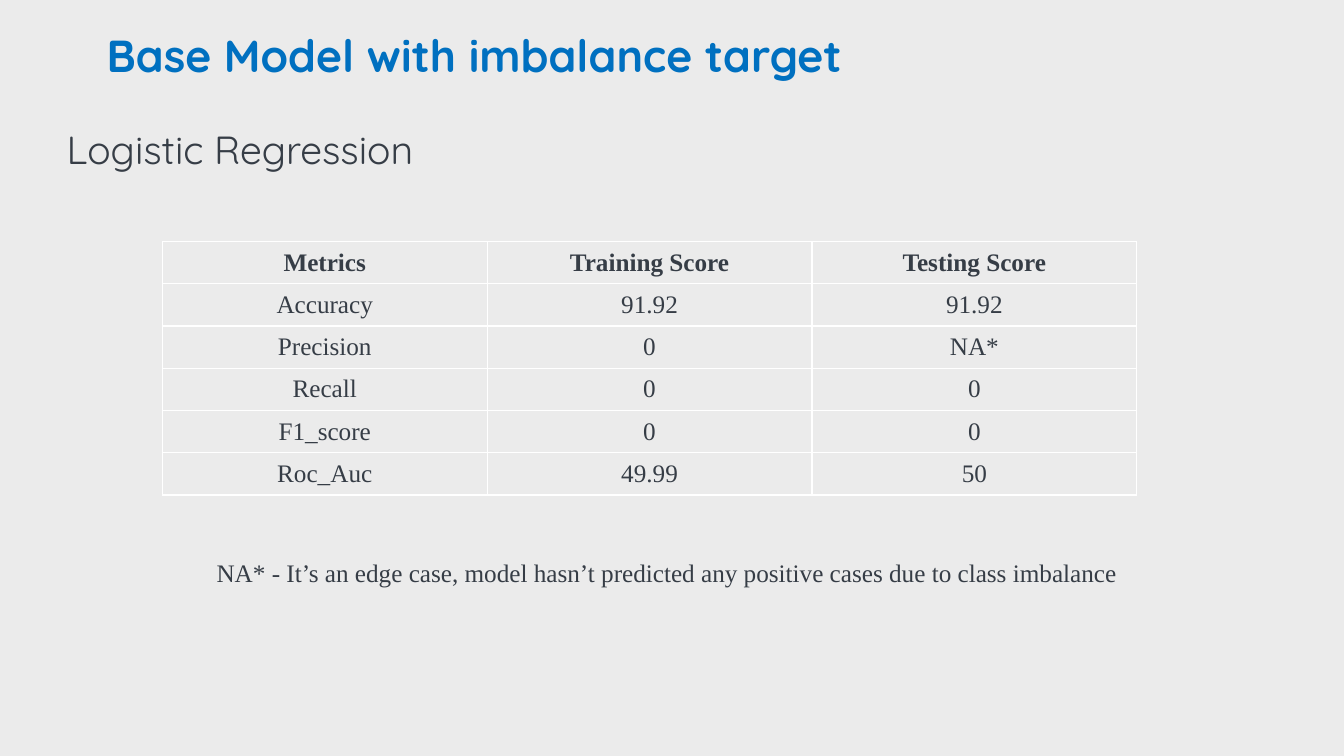
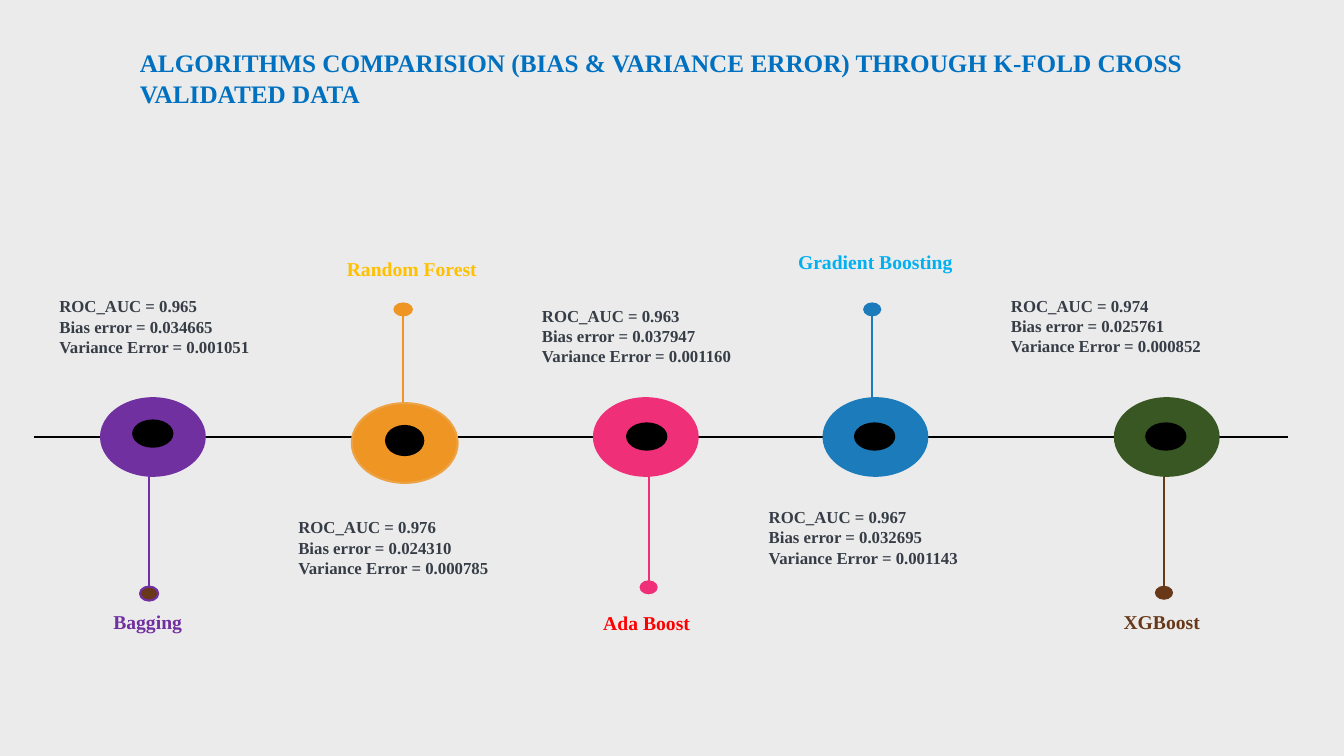
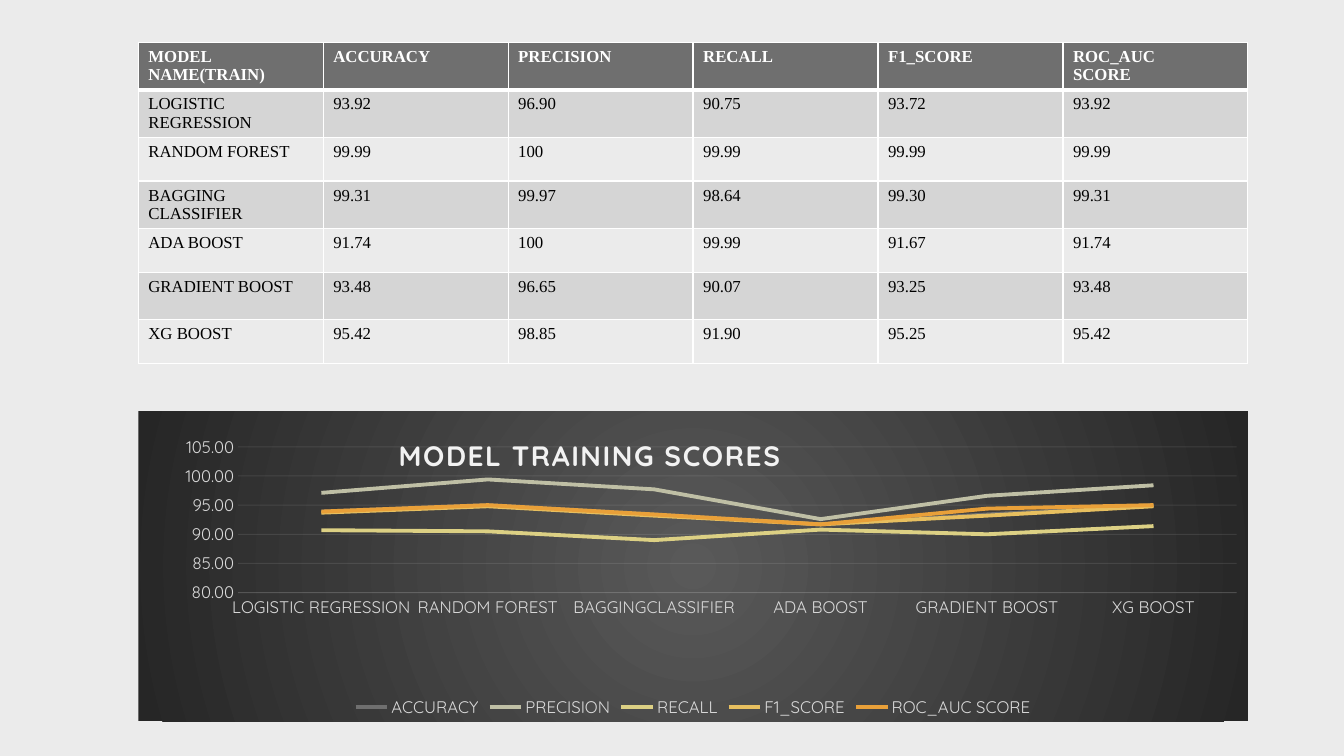
from dataclasses import dataclass

from lxml.etree import SubElement
from pptx import Presentation
from pptx.chart.data import CategoryChartData
from pptx.dml.color import RGBColor
from pptx.enum.chart import XL_CHART_TYPE, XL_LEGEND_POSITION, XL_TICK_MARK
from pptx.enum.shapes import MSO_CONNECTOR, MSO_SHAPE
from pptx.enum.text import MSO_ANCHOR, PP_ALIGN
from pptx.oxml import parse_xml
from pptx.oxml.ns import nsdecls, qn
from pptx.util import Pt


@dataclass(frozen=True)
class Theme:
    serif: str = "Times New Roman"
    sans: str = "Quicksand"
    page: str = "EBEBEB"
    ink: str = "363D46"
    title: str = "0070C0"
    white: str = "FFFFFF"
    black: str = "000000"
    header: str = "6F6F6F"
    band: str = "D5D5D5"
    faint: str = "F2F2F2"
    axis: str = "D9D9D9"
    title_size: int = 32
    subtitle_size: int = 28
    chart_title_size: int = 20
    body_size: int = 18
    label_size: int = 14
    small_size: int = 12


theme = Theme()


def write(frame, lines, size, colour=theme.ink, face=theme.serif, bold=False, align=PP_ALIGN.LEFT):
    frame.word_wrap = True
    for index, line in enumerate(lines):
        para = frame.add_paragraph() if index else frame.paragraphs[0]
        para.alignment = align
        span = para.add_run()
        span.text = line
        span.font.name = face
        span.font.size = Pt(size)
        span.font.bold = bold
        span.font.color.rgb = RGBColor.from_string(colour)


def add_grid(page, rows, left, top, widths, heights, size, fills, header_colour,
             header_rule, text_colour, align, anchor, side_inset):
    """Add a white-ruled table; fills gives the header, odd and even row colours."""
    grid = page.shapes.add_table(len(rows), len(widths), Pt(left), Pt(top),
                                 Pt(sum(widths)), Pt(sum(heights))).table
    grid.horz_banding = False
    for column, width in zip(grid.columns, widths):
        column.width = Pt(width)
    for r, texts in enumerate(rows):
        grid.rows[r].height = Pt(heights[r])
        fill = fills[0] if r == 0 else fills[2 - r % 2]
        rules = {"L": 1, "R": 1, "T": header_rule if r == 1 else 1,
                 "B": header_rule if r == 0 else 1}
        for c, text in enumerate(texts):
            cell = grid.cell(r, c)
            cell.margin_left = cell.margin_right = Pt(side_inset)
            cell.vertical_anchor = anchor
            if fill:
                cell.fill.solid()
                cell.fill.fore_color.rgb = RGBColor.from_string(fill)
            else:
                cell.fill.background()
            write(cell.text_frame, text.split("\n"), size,
                  header_colour if r == 0 else text_colour, bold=r == 0, align=align)
            properties = cell._tc.get_or_add_tcPr()
            for position, (side, weight) in enumerate(rules.items()):
                properties.insert(position, parse_xml(
                    f'<a:ln{side} {nsdecls("a")} w="{Pt(weight)}"><a:solidFill>'
                    f'<a:srgbClr val="{theme.white}"/></a:solidFill></a:ln{side}>'))


deck = Presentation()
deck.slide_width, deck.slide_height = Pt(960), Pt(540)
backdrop = deck.slide_master.background.fill
backdrop.solid()
backdrop.fore_color.rgb = RGBColor.from_string(theme.page)
blank = deck.slide_layouts[6]

# Base model
page = deck.slides.add_slide(blank)
box = page.shapes.add_textbox(Pt(69), Pt(16.5), Pt(627), Pt(46))
write(box.text_frame, ["Base Model with imbalance target"], theme.title_size,
      theme.title, theme.sans, bold=True)
box = page.shapes.add_textbox(Pt(40.5), Pt(86), Pt(325), Pt(41))
write(box.text_frame, ["Logistic Regression"], theme.subtitle_size, face=theme.sans)
box = page.shapes.add_textbox(Pt(147.6), Pt(394.6), Pt(707), Pt(29))
write(box.text_frame, ["NA* - It’s an edge case, model hasn’t predicted any positive cases "
                       "due to class imbalance"], theme.body_size)
base_scores = [
    ("Metrics", "Training Score", "Testing Score"),
    ("Accuracy", "91.92", "91.92"),
    ("Precision", "0", "NA*"),
    ("Recall", "0", "0"),
    ("F1_score", "0", "0"),
    ("Roc_Auc", "49.99", "50"),
]
add_grid(page, base_scores, 116, 172.5, [232] * 3, [30.2] * 6, theme.body_size,
         (None, None, None), theme.ink, 1, theme.ink, PP_ALIGN.CENTER, MSO_ANCHOR.MIDDLE, 9.6)


# Algorithm comparison
@dataclass
class Model:
    name: str
    name_colour: str
    name_at: tuple
    scores: tuple
    scores_at: tuple
    disc_colour: str
    disc_at: tuple
    eye: tuple
    stem_colour: str
    dot_colour: str
    dot_centre: tuple
    dot_width: float = 13
    disc_line: str = None
    dot_line: str = None


models = [
    Model("Bagging", "7030A0", (35.3, 432), ("0.965", "0.034665", "0.001051"), (35.3, 208),
          "7030A0", (71.4, 283.7), (94.4, 299.6, 29.5, 20.2),
          "7030A0", "683819", (106.5, 424), dot_line="7030A0"),
    Model("Random Forest", "FFC000", (224, 180), ("0.976", "0.024310", "0.000785"), (206, 365.8),
          "EE9524", (251.3, 288), (275, 303.5, 28.1, 22.3),
          "EE9524", "EE9524", (288, 221), dot_width=14, disc_line="EDA244"),
    Model("Ada Boost", "FF0000", (391.7, 432.7), ("0.963", "0.037947", "0.001160"), (380, 214.8),
          "EF3078", (423.5, 283.7), (447.2, 301.7, 29.5, 20.2),
          "EF3078", "EF3078", (463.3, 419.5)),
    Model("Gradient Boosting", "00B0F0", (555, 175), ("0.967", "0.032695", "0.001143"),
          (542, 358.6), "1C7CBB", (587.5, 283.7), (610, 301.7, 29.5, 20.2),
          "1C7CBB", "1C7CBB", (623, 221)),
    Model("XGBoost", "683819", (759.6, 432), ("0.974", "0.025761", "0.000852"), (715, 207.7),
          "385723", (795.6, 283.7), (818, 301.7, 29.5, 20.2),
          "683819", "683819", (831.4, 423.4)),
]
axis_y = 312
page = deck.slides.add_slide(blank)
lines = [(theme.black, 24, axis_y, 920, axis_y)]
ovals = []
for model in models:
    x, y = model.dot_centre
    lines.append((model.stem_colour, x, axis_y, x, y))
    ovals += [
        (model.dot_colour, model.dot_line,
         (x - model.dot_width / 2, y - 5, model.dot_width, 10)),
        (model.disc_colour, model.disc_line, (*model.disc_at, 75.6, 56.9)),
        (theme.black, None, model.eye),
    ]
for colour, *ends in lines:
    line = page.shapes.add_connector(MSO_CONNECTOR.STRAIGHT, *map(Pt, ends))
    line.line.color.rgb = RGBColor.from_string(colour)
    line.line.width = Pt(1.5)
    SubElement(line._element.spPr, qn("a:effectLst"))
for colour, outline, place in ovals:
    oval = page.shapes.add_shape(MSO_SHAPE.OVAL, *map(Pt, place))
    oval.shadow.inherit = False
    oval.fill.solid()
    oval.fill.fore_color.rgb = RGBColor.from_string(colour)
    if outline:
        oval.line.color.rgb = RGBColor.from_string(outline)
        oval.line.width = Pt(1.5)
    else:
        oval.line.fill.background()
for model in models:
    box = page.shapes.add_textbox(*map(Pt, model.name_at), Pt(140.4), Pt(24.5))
    write(box.text_frame, [model.name], theme.label_size, model.name_colour,
          bold=True, align=PP_ALIGN.CENTER)
    roc_auc, bias, variance = model.scores
    box = page.shapes.add_textbox(*map(Pt, model.scores_at), Pt(220), Pt(51))
    write(box.text_frame, [f"ROC_AUC = {roc_auc}", f"Bias error = {bias}",
                           f"Variance Error = {variance}"], theme.small_size, bold=True)
box = page.shapes.add_textbox(Pt(92.8), Pt(30.5), Pt(772), Pt(51))
write(box.text_frame, ["ALGORITHMS COMPARISION (BIAS & VARIANCE ERROR) THROUGH K-FOLD "
                       "CROSS VALIDATED DATA"], theme.body_size, theme.title, bold=True)

# Training scores
page = deck.slides.add_slide(blank)
training_scores = [
    ("MODEL NAME(TRAIN)", "ACCURACY", "PRECISION", "RECALL", "F1_SCORE", "ROC_AUC\nSCORE"),
    ("LOGISTIC\nREGRESSION", "93.92", "96.90", "90.75", "93.72", "93.92"),
    ("RANDOM FOREST", "99.99", "100", "99.99", "99.99", "99.99"),
    ("BAGGING\nCLASSIFIER", "99.31", "99.97", "98.64", "99.30", "99.31"),
    ("ADA BOOST", "91.74", "100", "99.99", "91.67", "91.74"),
    ("GRADIENT BOOST", "93.48", "96.65", "90.07", "93.25", "93.48"),
    ("XG BOOST", "95.42", "98.85", "91.90", "95.25", "95.42"),
]
add_grid(page, training_scores, 98.8, 30.2, [132.1] * 6, [34, 34, 31.2, 34, 31.2, 33.8, 31.2],
         theme.small_size, (theme.header, theme.band, theme.page), theme.white, 3, theme.black,
         PP_ALIGN.LEFT, MSO_ANCHOR.TOP, 7.2)

chart_data = CategoryChartData(number_format="#,##0.00")
chart_data.categories = ["LOGISTIC REGRESSION", "RANDOM FOREST", "BAGGINGCLASSIFIER",
                         "ADA BOOST", "GRADIENT BOOST", "XG BOOST"]
curves = [
    ("ACCURACY", "6F6F6F", (93.9, 95, 93.4, 91.7, 93.4, 95)),
    ("PRECISION", "BFBFA5", (97.1, 99.4, 97.7, 92.6, 96.6, 98.4)),
    ("RECALL", "DCD084", (90.7, 90.5, 89, 90.8, 90, 91.4)),
    ("F1_SCORE", "E7BF5F", (93.7, 94.8, 93.2, 91.7, 93.2, 94.8)),
    ("ROC_AUC SCORE", "E9A039", (93.9, 95, 93.4, 91.7, 94.4, 95)),
]
for name, colour, values in curves:
    chart_data.add_series(name, values)
chart = page.shapes.add_chart(XL_CHART_TYPE.LINE, Pt(98.8), Pt(293.7), Pt(792.6), Pt(221.6),
                              chart_data).chart
chart.font.name = theme.sans
chart.font.size = Pt(10)
chart.font.color.rgb = RGBColor.from_string(theme.white)
chart.plots[0].vary_by_categories = False
for series, (name, colour, values) in zip(chart.plots[0].series, curves):
    series.smooth = False
    series.format.line.color.rgb = RGBColor.from_string(colour)
    series.format.line.width = Pt(2.75)

chart.has_legend = True
chart.legend.position = XL_LEGEND_POSITION.BOTTOM
chart.legend.include_in_layout = False
models_axis, score_axis = chart.category_axis, chart.value_axis
score_axis.minimum_scale, score_axis.maximum_scale, score_axis.major_unit = 80, 105, 5
score_axis.tick_labels.number_format = "#,##0.00"
score_axis.tick_labels.number_format_is_linked = False
score_axis.format.line.fill.background()
for axis in (models_axis, score_axis):
    axis.major_tick_mark = axis.minor_tick_mark = XL_TICK_MARK.NONE
for font in (models_axis.tick_labels.font, score_axis.tick_labels.font, chart.legend.font):
    font.name = theme.sans
    font.size = Pt(theme.small_size)
    font.color.rgb = RGBColor.from_string(theme.axis)
for line in (models_axis.format.line, score_axis.major_gridlines.format.line):
    line.color.rgb = RGBColor.from_string(theme.faint)
    line.width = Pt(0.75)

chart.has_title = True
write(chart.chart_title.text_frame, ["MODEL TRAINING SCORES"], theme.chart_title_size,
      theme.faint, theme.sans, bold=True, align=PP_ALIGN.CENTER)
chart.chart_title.text_frame.paragraphs[0].runs[0].font._element.set("spc", "100")

space = chart._chartSpace
for colour in space.xpath(".//c:catAx/c:spPr//a:srgbClr | .//c:majorGridlines//a:srgbClr"):
    SubElement(colour, qn("a:alpha"), val="10000")
for body in space.xpath(".//c:catAx/c:txPr/a:bodyPr"):
    body.set("rot", "-60000000")
    body.set("vert", "horz")
layouts = [
    ("c:chart/c:title", 1, {"xMode": "edge", "yMode": "edge", "x": 0.23, "y": 0.06}),
    ("c:chart/c:plotArea", 0, {"layoutTarget": "inner", "xMode": "edge", "yMode": "edge",
                               "x": 0.09, "y": 0.115, "w": 0.9, "h": 0.47}),
]
for target, position, settings in layouts:
    part = space.xpath(target)[0]
    for old in part.xpath("c:layout"):
        part.remove(old)
    entries = "".join(f'<c:{key} val="{value}"/>' for key, value in settings.items())
    part.insert(position, parse_xml(f'<c:layout {nsdecls("c")}><c:manualLayout>{entries}'
                                    f'</c:manualLayout></c:layout>'))
space.xpath("c:chart")[0].addnext(parse_xml(
    f'<c:spPr {nsdecls("c", "a")}><a:gradFill><a:gsLst>'
    '<a:gs pos="0"><a:srgbClr val="595959"/></a:gs>'
    '<a:gs pos="100000"><a:srgbClr val="262626"/></a:gs></a:gsLst>'
    '<a:path path="circle"><a:fillToRect l="50000" t="50000" r="50000" b="50000"/></a:path>'
    '</a:gradFill><a:ln><a:noFill/></a:ln></c:spPr>'))

deck.save("out.pptx")
